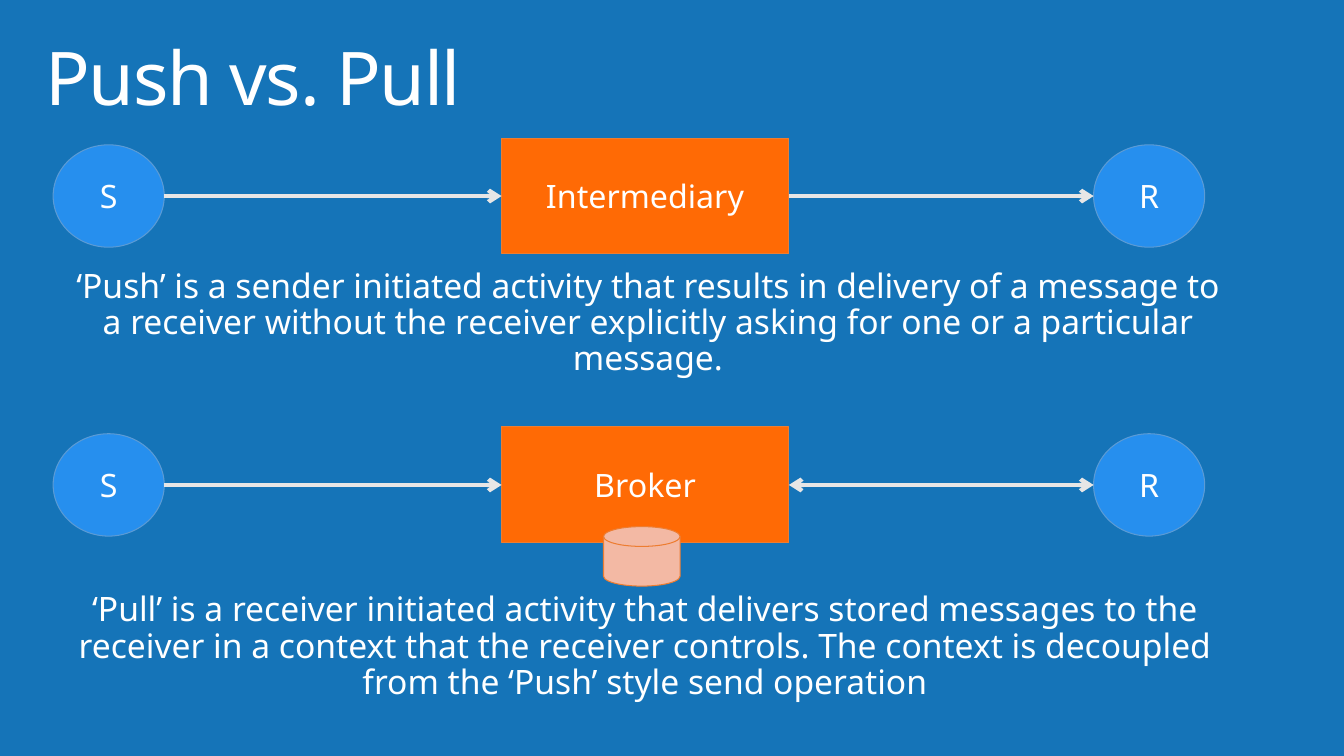
from dataclasses import dataclass

from pptx import Presentation
from pptx.dml.color import RGBColor
from pptx.enum.shapes import MSO_CONNECTOR, MSO_SHAPE
from pptx.enum.text import MSO_ANCHOR, MSO_AUTO_SIZE, PP_ALIGN
from pptx.oxml.ns import qn
from pptx.util import Cm, Pt
from lxml import etree

RECT, OVAL = MSO_SHAPE.RECTANGLE, MSO_SHAPE.OVAL
DISK = MSO_SHAPE.FLOWCHART_MAGNETIC_DISK
STRAIGHT = MSO_CONNECTOR.STRAIGHT
LEFT, CENTER = PP_ALIGN.LEFT, PP_ALIGN.CENTER
TOP, MIDDLE = MSO_ANCHOR.TOP, MSO_ANCHOR.MIDDLE
FIT_SHAPE = MSO_AUTO_SIZE.SHAPE_TO_FIT_TEXT


@dataclass(frozen=True)
class Theme:
    font: str = "Noto Sans"
    background: str = "1574B8"
    text: str = "FFFFFF"
    hub: str = "FF6A05"
    hub_line: str = "ED7D31"
    party: str = "268FEE"
    party_line: str = "5B9BD5"
    store: str = "F3B9A4"
    arrow: str = "E7E6E6"
    title_size: float = 52.9
    body_size: float = 24
    label_size: float = 23
    outline: float = 0.75
    arrow_width: float = 3
    line_spacing: float = 0.9


class Deck:
    """Theme and current slide, with one method per kind of element."""

    def __init__(self, slide, theme):
        self.slide, self.theme = slide, theme
        fill = slide.background.fill
        fill.solid()
        fill.fore_color.rgb = RGBColor.from_string(theme.background)

    def add_text(self, tf, text, size, align, spacing=None, tracking=None):
        p = tf.paragraphs[0]
        p.alignment = align
        if spacing:
            p.line_spacing = spacing
        r = p.add_run()
        r.text = text
        r.font.name, r.font.size = self.theme.font, Pt(size)
        r.font.color.rgb = RGBColor.from_string(self.theme.text)
        if tracking:
            r._r.get_or_add_rPr().set("spc", str(tracking))

    def text_box(self, box, text, size, align=CENTER, inset=(0, 0), tracking=None, grow=True):
        tf = self.slide.shapes.add_textbox(*map(Cm, box)).text_frame
        tf.word_wrap, tf.vertical_anchor = True, TOP
        tf.margin_left = tf.margin_right = Cm(inset[0])
        tf.margin_top = tf.margin_bottom = Cm(inset[1])
        if grow:
            tf.auto_size = FIT_SHAPE
        self.add_text(tf, text, size, align, self.theme.line_spacing, tracking)

    def shape(self, kind, box, fill, line, label=None):
        sp = self.slide.shapes.add_shape(kind, *map(Cm, box))
        sp.shadow.inherit = False
        sp.fill.solid()
        sp.fill.fore_color.rgb = RGBColor.from_string(fill)
        sp.line.color.rgb = RGBColor.from_string(line)
        sp.line.width = Pt(self.theme.outline)
        if label:
            sp.text_frame.vertical_anchor = MIDDLE
            self.add_text(sp.text_frame, label, self.theme.label_size, CENTER)

    def arrow(self, x1, x2, y, both_ways=False):
        cx = self.slide.shapes.add_connector(STRAIGHT, Cm(x1), Cm(y), Cm(x2), Cm(y))
        cx.line.color.rgb = RGBColor.from_string(self.theme.arrow)
        cx.line.width = Pt(self.theme.arrow_width)
        ln = cx.line._get_or_add_ln()
        for end in ("a:headEnd", "a:tailEnd") if both_ways else ("a:tailEnd",):
            etree.SubElement(ln, qn(end)).set("type", "arrow")
        etree.SubElement(cx._element.spPr, qn("a:effectLst"))


theme = Theme()
prs = Presentation()
prs.slide_width, prs.slide_height = Cm(33.87), Cm(19.05)
s = Deck(prs.slides.add_slide(prs.slide_layouts[6]), theme)

# Title
s.text_box((0.74, 0.81, 32.05, 2.49), "Push vs. Pull", theme.title_size,
           LEFT, inset=(0.41, 0.25), tracking=-100, grow=False)

# Message flows: sender, hub and receiver share one centre line
SENDER_X, HUB_X, RECEIVER_X = 1.34, 12.64, 27.56
PARTY_W, PARTY_H = 2.8, 2.58
HUB_W, HUB_H = 7.24, 2.92

for hub, center_y, pulls in (("Intermediary", 4.94, False), ("Broker", 12.22, True)):
    s.shape(RECT, (HUB_X, center_y - HUB_H / 2, HUB_W, HUB_H),
            theme.hub, theme.hub_line, hub)
    for label, x in (("S", SENDER_X), ("R", RECEIVER_X)):
        s.shape(OVAL, (x, center_y - PARTY_H / 2, PARTY_W, PARTY_H),
                theme.party, theme.party_line, label)
    s.arrow(SENDER_X + PARTY_W, HUB_X, center_y)
    s.arrow(HUB_X + HUB_W, RECEIVER_X, center_y, both_ways=pulls)

# Message store of the broker
s.shape(DISK, (15.21, 13.27, 1.93, 1.5), theme.store, theme.hub_line)

# Definitions
s.text_box((1.83, 6.78, 29, 2.06),
           "‘Push’ is a sender initiated activity that results in delivery of a message "
           "to a receiver without the receiver explicitly asking for one or a particular "
           "message.", theme.body_size)
s.text_box((1.75, 14.94, 29, 3.07),
           "‘Pull’ is a receiver initiated activity that delivers stored messages to the "
           "receiver in a context that the receiver controls. The context is decoupled "
           "from the ‘Push’ style send operation", theme.body_size)

prs.save("out.pptx")
